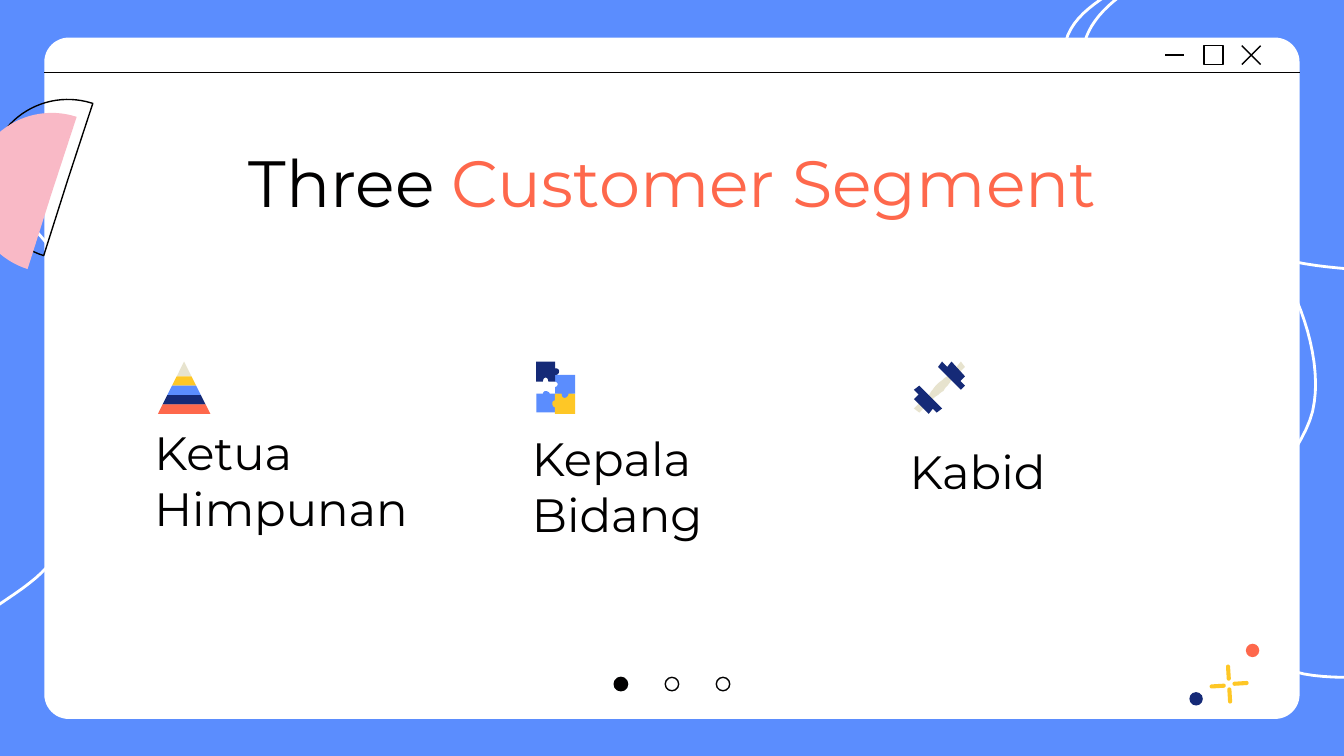
from dataclasses import dataclass

from lxml.etree import SubElement
from pptx import Presentation
from pptx.dml.color import RGBColor
from pptx.enum.shapes import MSO_CONNECTOR, MSO_SHAPE
from pptx.enum.text import MSO_ANCHOR, PP_ALIGN
from pptx.oxml.ns import qn
from pptx.util import Inches, Pt


@dataclass(frozen=True)
class Theme:
    """Colours, font and sizes of the deck."""
    blue: str = "5B8DFE"
    white: str = "FFFFFF"
    ink: str = "010000"
    pink: str = "F9B9C6"
    coral: str = "FE684C"
    yellow: str = "FEC726"
    navy: str = "152A77"
    sand: str = "E7E3CE"
    font: str = "Montserrat"
    title: int = 35
    label: int = 25
    thin: float = 0.75
    swirl: float = 1.5


@dataclass(frozen=True)
class Box:
    """A rectangle in inches."""
    left: float
    top: float
    width: float
    height: float

    def inner(self, left, top, width, height):
        """Return a box placed relative to this one."""
        return Box(self.left + left, self.top + top, width, height)

    def lengths(self):
        """Return the four sides as lengths."""
        return [Inches(side) for side in (self.left, self.top, self.width, self.height)]


THEME = Theme()
PAGE = Box(0, 0, 10, 10 * 9 / 16)

SWIRLS = [
    [(8.78, -.21), (8.71, -.19, 8.49, -.18, 8.34, -.1), (8.2, -.01, 7.98, .11, 7.93, .31),
     (7.87, .51, 7.9, .88, 8.02, 1.11), (8.14, 1.34, 8.37, 1.56, 8.64, 1.7),
     (8.91, 1.85, 9.35, 1.9, 9.64, 1.95), (9.94, 2.01, 10.28, 2.01, 10.4, 2.03)],
    [(9.06, -.17), (8.96, -.15, 8.61, -.18, 8.45, -.1), (8.28, -.01, 8.11, .15, 8.07, .32),
     (8.03, .49, 8.04, .75, 8.2, .94), (8.36, 1.14, 8.79, 1.3, 9.02, 1.49),
     (9.25, 1.68, 9.47, 1.86, 9.59, 2.11), (9.72, 2.36, 9.82, 2.71, 9.78, 2.99),
     (9.75, 3.27, 9.46, 3.55, 9.37, 3.8), (9.27, 4.05, 9.19, 4.28, 9.22, 4.48),
     (9.26, 4.68, 9.4, 4.89, 9.59, 4.98), (9.78, 5.07, 10.23, 5.03, 10.36, 5.04)],
    [(-.49, 5.6), (-.48, 5.51, -.51, 5.21, -.46, 5.05), (-.42, 4.9, -.36, 4.81, -.23, 4.67),
     (-.09, 4.53, .2, 4.39, .35, 4.22), (.49, 4.05, .6, 3.87, .67, 3.65),
     (.74, 3.42, .79, 3.13, .77, 2.88), (.76, 2.64, .68, 2.38, .58, 2.17),
     (.49, 1.96, .35, 1.81, .2, 1.64), (.06, 1.48, -.17, 1.34, -.27, 1.17),
     (-.38, 1, -.42, .79, -.43, .61), (-.44, .43, -.37, .16, -.36, .07)],
]

PYRAMID_BANDS = [(0, .11, THEME.sand), (.11, .18, THEME.yellow), (.18, .25, THEME.blue),
                 (.25, .32, THEME.navy), (.32, .39, THEME.coral)]
PYRAMID = [
    (color, [(.19 - top / 2, top), (.19 + top / 2, top),
             (.19 + bottom / 2, bottom), (.19 - bottom / 2, bottom)])
    for top, bottom, color in PYRAMID_BANDS
]
PUZZLE = [
    (THEME.blue, [(.07, .22), (.06, .22, .05, .23, .05, .24), (0, .24), (0, .38), (.14, .38),
                  (.15, .31), (.14, .24), (.1, .24), (.1, .23, .08, .22, .07, .22)]),
    (THEME.yellow, [(.21, .23), (.14, .24), (.14, .29), (.13, .29, .12, .3, .12, .31),
                    (.12, .33, .13, .34, .14, .34), (.14, .39), (.29, .39), (.29, .24)]),
    (THEME.blue, [(.13, .1), (.14, .15), (.15, .15, .16, .16, .16, .17),
                  (.16, .18, .15, .19, .14, .19), (.14, .24), (.19, .24),
                  (.19, .26, .2, .27, .21, .27), (.23, .27, .24, .25, .24, .24),
                  (.29, .24), (.29, .1)]),
    (THEME.navy, [(0, 0), (0, .15), (.05, .15), (.05, .13, .06, .12, .07, .12),
                  (.08, .12, .09, .13, .09, .15), (.14, .15), (.14, .1),
                  (.16, .1, .17, .09, .17, .07), (.17, .06, .16, .05, .14, .05), (.14, 0)]),
]
DUMBBELL = [
    (THEME.sand, [(.04, .31), (0, .35), (.04, .38), (.08, .34)]),
    (THEME.navy, [(.04, .24), (0, .28), (.11, .39), (.15, .34)]),
    (THEME.sand, [(.26, .09), (.25, .11), (.23, .12, .22, .13, .21, .14),
                  (.18, .16, .16, .18, .14, .21), (.13, .22, .12, .24, .11, .25),
                  (.09, .26), (.13, .29), (.14, .28), (.15, .27, .16, .26, .18, .25),
                  (.19, .24, .2, .23, .22, .22), (.23, .2, .24, .19, .25, .18),
                  (.26, .17, .27, .15, .28, .14), (.29, .13)]),
    (THEME.sand, [(.35, 0), (.31, .05), (.34, .08), (.38, .04)]),
    (THEME.navy, [(.28, 0), (.24, .05), (.34, .15), (.38, .11)]),
    (THEME.navy, [(.04, .18), (0, .21), (.17, .38), (.21, .35)]),
    (THEME.navy, [(.21, 0), (.18, .04), (.35, .21), (.38, .18)]),
]
SEGMENTS = [("Ketua Himpunan", 3.51, PYRAMID), ("Kepala Bidang", 3.55, PUZZLE),
            ("Kabid", 3.23, DUMBBELL)]


def paint(shape, fill=None, line=None, width=THEME.thin):
    """Set the fill and line of a shape, or clear them."""
    shape.shadow.inherit = False
    if fill:
        shape.fill.solid()
        shape.fill.fore_color.rgb = RGBColor.from_string(fill)
    else:
        shape.fill.background()
    if line:
        shape.line.color.rgb = RGBColor.from_string(line)
        shape.line.width = Pt(width)
    else:
        shape.line.fill.background()


def add_preset(page, kind, box, fill=None, line=None, rotation=0, adjustments=()):
    """Add a preset shape."""
    shape = page.shapes.add_shape(kind, *box.lengths())
    for index, value in enumerate(adjustments):
        shape.adjustments[index] = value
    shape.rotation = rotation
    paint(shape, fill, line)


def add_rule(page, box):
    """Draw a thin line from the box's start corner to its end corner."""
    left, top, width, height = box.lengths()
    rule = page.shapes.add_connector(MSO_CONNECTOR.STRAIGHT, left, top, left + width, top + height)
    rule.line.color.rgb = RGBColor.from_string(THEME.ink)
    rule.line.width = Pt(THEME.thin)
    SubElement(rule._element.spPr, qn("a:effectLst"))


def flatten(outline, steps=12):
    """Turn an outline of points and cubic curves into points."""
    points = [outline[0]]
    for segment in outline[1:]:
        if len(segment) == 2:
            points.append(segment)
            continue
        controls = [points[-1], segment[:2], segment[2:4], segment[4:]]
        for step in range(1, steps + 1):
            t = step / steps
            weights = ((1 - t) ** 3, 3 * t * (1 - t) ** 2, 3 * t * t * (1 - t), t ** 3)
            points.append(tuple(sum(w * c[axis] for w, c in zip(weights, controls))
                                for axis in (0, 1)))
    return points


def add_outline(page, box, outline, close=True, **style):
    """Add a freeform whose points are relative to the box."""
    points = [(Inches(box.left + x), Inches(box.top + y)) for x, y in flatten(outline)]
    builder = page.shapes.build_freeform(*points[0], scale=1.0)
    builder.add_line_segments(points[1:], close=close)
    paint(builder.convert_to_shape(), **style)


def add_text(page, box, spans, size, align, anchor):
    """Add a one-paragraph text box of (text, colour) spans."""
    frame = page.shapes.add_textbox(*box.lengths()).text_frame
    frame.word_wrap = True
    frame.vertical_anchor = anchor
    frame.margin_left = frame.margin_right = frame.margin_top = frame.margin_bottom = Inches(0.1)
    para = frame.paragraphs[0]
    para.alignment = align
    para.font.name, para.font.size = THEME.font, Pt(size)
    for text, color in spans:
        span = para.add_run()
        span.text = text
        span.font.color.rgb = RGBColor.from_string(color)


def draw_window(page, box):
    """Draw the window panel with its title bar and buttons."""
    add_preset(page, MSO_SHAPE.ROUNDED_RECTANGLE, box, THEME.white, adjustments=[0.036])
    add_rule(page, box.inner(0, 0.26, box.width, 0))
    buttons = box.inner(8.34, 0.06, 0.71, 0.14)
    add_preset(page, MSO_SHAPE.RECTANGLE, buttons.inner(0.29, 0, 0.14, 0.14), line=THEME.ink)
    add_rule(page, buttons.inner(0, 0.07, 0.14, 0))
    add_rule(page, buttons.inner(0.57, 0, 0.14, 0.14))
    add_rule(page, buttons.inner(0.71, 0, -0.14, 0.14))


def draw_half_discs(page, box):
    """Draw the pink half disc over its outlined echo."""
    for left, top, style in [(0.12, -0.1, {"line": THEME.ink}), (0, 0, {"fill": THEME.pink})]:
        add_preset(page, MSO_SHAPE.PIE, box.inner(left, top, box.width, box.height),
                   rotation=107.6, adjustments=[0, 108.331], **style)


def draw_sparkle(page, box):
    """Draw the four-ray sparkle with its two dots."""
    for left, top, angle in [(0.28, 0.16, 356.5), (0.29, 0.33, 356.5),
                             (0.37, 0.24, 86.5), (0.2, 0.26, 86.5)]:
        add_preset(page, MSO_SHAPE.ROUNDED_RECTANGLE, box.inner(left, top, 0.02, 0.11),
                   THEME.yellow, THEME.yellow, angle, [0.5])
    for left, top, color in [(0, 0.36, THEME.navy), (0.42, 0, THEME.coral)]:
        add_preset(page, MSO_SHAPE.OVAL, box.inner(left, top, 0.1, 0.1), color)


def draw_segment(page, box, icon_top, label, icon):
    """Draw one customer segment: an icon and its label."""
    place = Box(box.left + 0.13, icon_top, 0.39, 0.39)
    for color, outline in icon:
        add_outline(page, place, outline, fill=color)
    add_text(page, box, [(label, THEME.ink)], THEME.label, PP_ALIGN.LEFT, MSO_ANCHOR.BOTTOM)


def draw_pager(page, box):
    """Draw three page dots, the first one filled."""
    for index in range(3):
        add_preset(page, MSO_SHAPE.OVAL, box.inner(0.38 * index, 0, 0.1, 0.1),
                   None if index else THEME.ink, THEME.ink)


def main():
    """Build the slide and save it."""
    deck = Presentation()
    deck.slide_width, deck.slide_height = Inches(PAGE.width), Inches(PAGE.height)
    page = deck.slides.add_slide(deck.slide_layouts[6])
    page.background.fill.solid()
    page.background.fill.fore_color.rgb = RGBColor.from_string(THEME.blue)
    for swirl in SWIRLS:
        add_outline(page, PAGE, swirl, close=False, line=THEME.white, width=THEME.swirl)
    draw_window(page, Box(0.33, 0.28, 9.34, 5.07))
    draw_half_discs(page, Box(-0.21, 0.84, 1.19, 1.19))
    draw_sparkle(page, Box(8.85, 4.79, 0.52, 0.46))
    add_text(page, Box(0.79, 0.96, 8.43, 0.63),
             [("Three ", THEME.ink), ("Customer Segment", THEME.coral)],
             THEME.title, PP_ALIGN.CENTER, MSO_ANCHOR.TOP)
    for index, (label, top, icon) in enumerate(SEGMENTS):
        draw_segment(page, Box(1.05 + 2.81 * index, top, 2.28, 0.58), 2.69, label, icon)
    draw_pager(page, Box(4.57, 5.04, 0.86, 0.1))
    deck.save("out.pptx")


if __name__ == "__main__":
    main()
